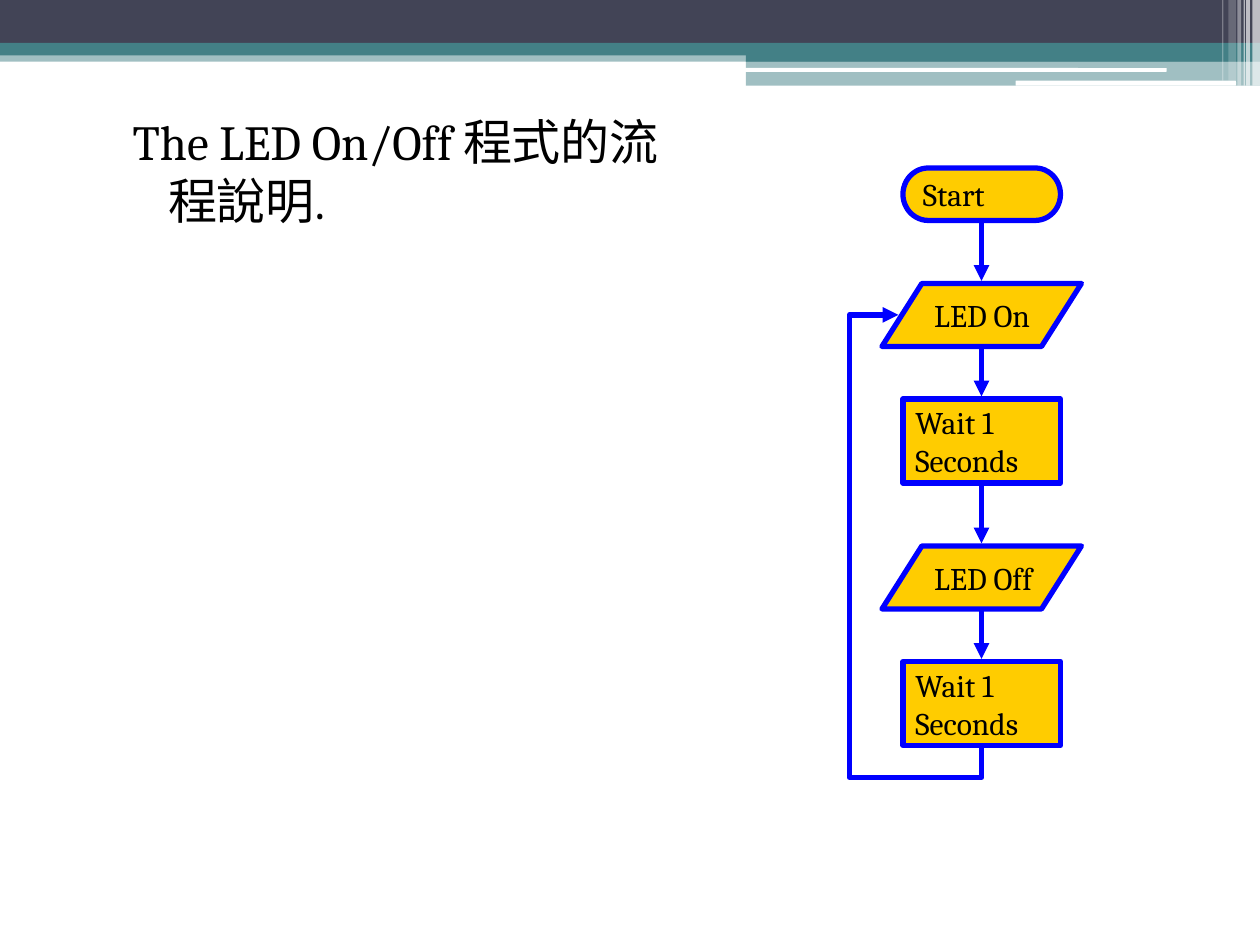
from lxml import etree
from pptx import Presentation
from pptx import util as u
from pptx.dml import color
from pptx.enum import shapes, text
from pptx.oxml import ns

WIDE, HIGH = 10, 7.5
COL, ROW = WIDE / 120, HIGH / 90  # grid of 1/12 inch cells
MID = 7.79  # axis of the flow, inches
GAP = 0.02  # arrows stop just short of the boxes
FONT, BLUE, GOLD, TEAL = "Cambria", "0000FF", "FFCC00", "438086"
KIND = shapes.MSO_SHAPE


def rgb(code):
    return color.RGBColor.from_string(code)


def sub(node, tag, **vals):
    return etree.SubElement(node, ns.qn(tag), vals)


def band(page, box, fill, alpha=100, kind=KIND.RECTANGLE):
    """Plain bar of the header, see-through if alpha is below 100."""
    bar = page.shapes.add_shape(kind, *map(u.Inches, box))
    bar.shadow.inherit = False
    bar.fill.solid()
    bar.fill.fore_color.rgb = rgb(fill)
    bar.line.fill.background()
    if alpha < 100:
        tint = bar.fill._xPr.find(".//" + ns.qn("a:srgbClr"))
        sub(tint, "a:alpha", val=str(alpha * 1000))


def header(page):
    # Horizontal bars
    band(page, (0, 0.4, WIDE, 0.09), TEAL, 50)
    band(page, (0, 0, WIDE, 0.34), "424456")
    band(page, (0, 0.34, WIDE, 0.1), TEAL)
    band(page, (5.92, 0.39, 4.08, 0.1), TEAL)
    band(page, (5.92, 0.48, 4.08, 0.2), TEAL, 50)
    for box in ((5.91, 0.54, 3.35, 0.03), (8.06, 0.64, 1.75, 0.04)):
        band(page, box, "FFFFFF", kind=KIND.ROUNDED_RECTANGLE)
    # Upright stripes at the right edge
    for left, wide, high, alpha in (
        (9.94, 0.06, 0.68, 65), (9.89, 0.03, 0.68, 65), (9.87, 0.01, 0.68, 60),
        (9.82, 0.03, 0.68, 40), (9.75, 0.06, 0.64, 20), (9.7, 0.01, 0.64, 30),
    ):
        band(page, (left, 0, wide, high), "FFFFFF", alpha)


def write(para, words, size):
    """Add one run per line of words."""
    for n, line in enumerate(words.split("\n")):
        if n:
            para.add_line_break()
        run = para.add_run()
        run.text = line
        run.font.size = u.Pt(size)
        run.font.name = FONT
        run.font.color.rgb = rgb("000000")


def body(page, words):
    hold = page.placeholders[1]
    hold.left, hold.top = u.Inches(10 * COL), u.Inches(10 * ROW)
    hold.width, hold.height = u.Inches(57 * COL), u.Inches(74 * ROW)
    frame = hold.text_frame
    frame.auto_size = text.MSO_AUTO_SIZE.NONE
    para = frame.paragraphs[0]
    props = para._p.get_or_add_pPr()
    props.set("marL", str(u.Inches(0.4)))
    props.set("indent", str(u.Inches(-0.28)))
    sub(props, "a:buNone")
    para.space_before = u.Pt(0)
    write(para, words, 28)


def step(page, kind, words, col, row, cols, rows):
    """One box of the flow, placed in grid cells."""
    box = page.shapes.add_shape(
        kind, u.Inches(col * COL), u.Inches(row * ROW),
        u.Inches(cols * COL), u.Inches(rows * ROW))
    box.shadow.inherit = False
    box.fill.solid()
    box.fill.fore_color.rgb = rgb(GOLD)
    box.line.color.rgb = rgb(BLUE)
    box.line.width = u.Pt(3)
    frame = box.text_frame
    frame.word_wrap = False
    frame.vertical_anchor = text.MSO_ANCHOR.MIDDLE
    para = frame.paragraphs[0]
    para.alignment = text.PP_ALIGN.LEFT
    write(para, words, 18)


def arrow(page, kind, *ends):
    link = page.shapes.add_connector(kind, *map(u.Inches, ends))
    link.line.color.rgb = rgb(BLUE)
    link.line.width = u.Pt(3)
    sub(link.line._get_or_add_ln(), "a:tailEnd", type="triangle")
    sub(link._element.spPr, "a:effectLst")
    return link


def loop(page):
    """Elbow from the last box round the left side to the LED On box."""
    link = arrow(page, shapes.MSO_CONNECTOR.ELBOW, 5.74, 4.55, 9.18, 3.89)
    link.rotation = 270
    geom = link._element.spPr.find(ns.qn("a:prstGeom"))
    geom.set("prst", "bentConnector4")
    for old in list(geom):
        geom.remove(old)
    bends = sub(geom, "a:avLst")
    sub(bends, "a:gd", name="adj1", fmla="val -6700")
    sub(bends, "a:gd", name="adj2", fmla="val 159100")


def flow(page):
    wait = "Wait 1\nSeconds"
    steps = (
        (KIND.FLOWCHART_TERMINATOR, "Start", 86, 16, 15, 5),
        (KIND.FLOWCHART_DATA, "LED On", 84, 27, 19, 6),
        (KIND.FLOWCHART_PROCESS, wait, 86, 38, 15, 8),
        (KIND.FLOWCHART_DATA, "LED Off", 84, 52, 19, 6),
        (KIND.FLOWCHART_PROCESS, wait, 86, 63, 15, 8),
    )
    for item in steps:
        step(page, *item)
    # Each arrow runs from the foot of one box to the head of the next
    for above, below in zip(steps, steps[1:]):
        foot, head = (above[3] + above[5]) * ROW, below[3] * ROW
        arrow(page, shapes.MSO_CONNECTOR.STRAIGHT,
              MID, foot + GAP, MID, head - GAP)
    loop(page)


def main():
    deck = Presentation()
    deck.slide_width, deck.slide_height = u.Inches(WIDE), u.Inches(HIGH)
    page = deck.slides.add_slide(deck.slide_layouts[1])
    title = page.shapes.title._element
    title.getparent().remove(title)
    header(page)
    body(page, "The LED On/Off 程式的流程說明.")
    flow(page)
    deck.save("out.pptx")


if __name__ == "__main__":
    main()
